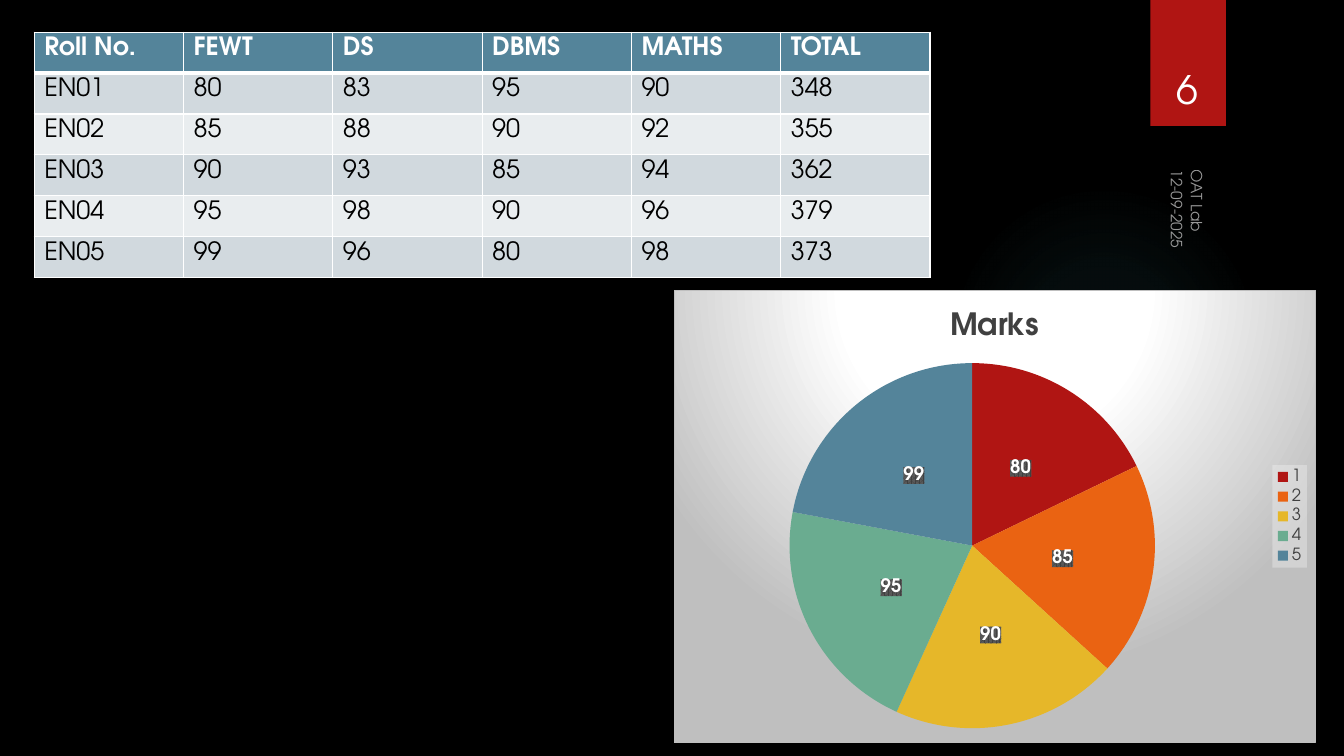
from dataclasses import dataclass

from lxml.etree import SubElement
from pptx import Presentation
from pptx.chart.data import CategoryChartData
from pptx.dml.color import RGBColor
from pptx.enum.chart import XL_CHART_TYPE, XL_LABEL_POSITION, XL_LEGEND_POSITION
from pptx.enum.shapes import MSO_SHAPE
from pptx.enum.text import MSO_ANCHOR, PP_ALIGN
from pptx.oxml import parse_xml
from pptx.oxml.ns import qn
from pptx.util import Pt

NS = ('xmlns:a="http://schemas.openxmlformats.org/drawingml/2006/main" '
      'xmlns:c="http://schemas.openxmlformats.org/drawingml/2006/chart"')

HEADER = ["Roll No.", "FEWT", "DS", "DBMS", "MATHS", "TOTAL"]
MARKS = [
    ["EN01", 80, 83, 95, 90, 348],
    ["EN02", 85, 88, 90, 92, 355],
    ["EN03", 90, 93, 85, 94, 362],
    ["EN04", 95, 98, 90, 96, 379],
    ["EN05", 99, 96, 80, 98, 373],
]


@dataclass(frozen=True)
class Theme:
    font: str = "TeX Gyre Adventor"
    black: str = "000000"
    white: str = "FFFFFF"
    dark: str = "404040"
    grey: str = "BFBFBF"
    glow: str = "50B9C1"
    red: str = "B01513"
    header: str = "54849A"
    bands: tuple = ("D1D9DE", "E9EDEF")
    slices: tuple = ("B01513", "EA6312", "E6B729", "6AAC90", "54849A")
    number_size: float = 28
    title_size: float = 22
    table_size: float = 18
    label_size: float = 13.3
    legend_size: float = 12
    footer_size: float = 11
    chart_size: float = 10


def solid(color, alpha=100):
    return (f'<a:solidFill><a:srgbClr val="{color}"><a:alpha val="{alpha * 1000}"/>'
            f'</a:srgbClr></a:solidFill>')


def radial(stops, top=50, bottom=50):
    """Circular gradient; stops are (position, colour, opacity) in percent."""
    gs = "".join(f'<a:gs pos="{pos * 1000}"><a:srgbClr val="{color}">'
                 f'<a:alpha val="{alpha * 1000}"/></a:srgbClr></a:gs>'
                 for pos, color, alpha in stops)
    return (f'<a:gradFill {NS} rotWithShape="1"><a:gsLst>{gs}</a:gsLst><a:path path="circle">'
            f'<a:fillToRect l="50000" t="{top * 1000}" r="50000" b="{bottom * 1000}"/>'
            f'</a:path></a:gradFill>')


def chart_props(content):
    return parse_xml(f"<c:spPr {NS}>{content}</c:spPr>")


class SlideBuilder:
    def __init__(self, slide, theme):
        self.slide, self.theme = slide, theme
        slide.background.fill.solid()
        slide.background.fill.fore_color.rgb = RGBColor.from_string(theme.black)

    def style(self, font, size, color, bold=False):
        font.name, font.size, font.bold = self.theme.font, Pt(size), bold
        font.color.rgb = RGBColor.from_string(color)

    def shape(self, kind, box, color=None, gradient=None):
        sp = self.slide.shapes.add_shape(kind, *map(Pt, box))
        sp.shadow.inherit = False
        sp.line.fill.background()
        if gradient:
            sp.fill.background()
            fill = sp._element.spPr.find(qn("a:noFill"))
            fill.getparent().replace(fill, parse_xml(gradient))
        else:
            sp.fill.solid()
            sp.fill.fore_color.rgb = RGBColor.from_string(color)

    def text(self, text, box, size, anchor=MSO_ANCHOR.TOP, align=PP_ALIGN.LEFT,
             rotation=0, alpha=100):
        sp = self.slide.shapes.add_textbox(*map(Pt, box))
        sp.rotation = rotation
        tf = sp.text_frame
        tf.word_wrap, tf.vertical_anchor = True, anchor
        p = tf.paragraphs[0]
        p.text, p.alignment = text, align
        r = p.runs[0]
        self.style(r.font, size, self.theme.white)
        if alpha < 100:
            clr = r._r.rPr.find(".//" + qn("a:srgbClr"))
            SubElement(clr, qn("a:alpha")).set("val", str(alpha * 1000))

    def cell(self, cell, text, fill, color, bold, bottom):
        t = self.theme
        cell.text = str(text)
        self.style(cell.text_frame.paragraphs[0].runs[0].font, t.table_size, color, bold)
        tc_pr = cell._tc.get_or_add_tcPr()
        for side, width in (("L", 1), ("R", 1), ("T", 1), ("B", bottom)):
            tc_pr.append(parse_xml(f'<a:ln{side} {NS} w="{Pt(width)}">{solid(t.white)}</a:ln{side}>'))
        cell.fill.solid()
        cell.fill.fore_color.rgb = RGBColor.from_string(fill)

    def table(self, rows, box):
        t = self.theme
        table = self.slide.shapes.add_table(len(rows), len(rows[0]), *map(Pt, box)).table
        table.horz_banding = False
        for i, row in enumerate(rows):
            for j, text in enumerate(row):
                if i == 0:
                    look = (t.header, t.white, True, 3)
                else:
                    look = (t.bands[(i - 1) % 2], t.black, False, 1)
                self.cell(table.cell(i, j), text, *look)

    def pie(self, title, rows, box):
        t = self.theme
        data = CategoryChartData()
        data.categories = [str(n + 1) for n in range(len(rows))]
        for n, column in enumerate(list(zip(*rows))[1:], 1):
            data.add_series(f"Series {n}", column)
        chart = self.slide.shapes.add_chart(XL_CHART_TYPE.PIE, *map(Pt, box), data).chart
        self.style(chart.font, t.chart_size, t.white)

        # Title and legend
        chart.has_title = True
        tf = chart.chart_title.text_frame
        tf.text = title
        self.style(tf.paragraphs[0].runs[0].font, t.title_size, t.dark, True)
        chart.has_legend = True
        legend = chart.legend
        legend.position, legend.include_in_layout = XL_LEGEND_POSITION.RIGHT, False
        self.style(legend.font, t.legend_size, t.dark)
        legend._element.find(qn("c:txPr")).addprevious(chart_props(solid("F2F2F2", 39)))

        # Slices and value labels
        plot = chart.plots[0]
        plot.vary_by_categories = True
        series = plot.series[0]
        for i, color in enumerate(t.slices):
            fill = series.points[i].format.fill
            fill.solid()
            fill.fore_color.rgb = RGBColor.from_string(color)
        labels = series.data_labels
        labels.show_value, labels.position = True, XL_LABEL_POSITION.CENTER
        self.style(labels.font, t.label_size, t.white, True)
        labels._element.find(qn("c:txPr")).addprevious(chart_props(
            f'<a:pattFill prst="pct75"><a:fgClr><a:srgbClr val="{t.dark}"/></a:fgClr>'
            '<a:bgClr><a:srgbClr val="595959"/></a:bgClr></a:pattFill>'))
        # The pie writer keeps one series; this adds the rest in the same style
        chart.replace_data(data)

        # Chart area and pie position
        space = chart._chartSpace
        backdrop = radial([(0, t.white, 100), (39, t.white, 100), (100, t.grey, 100)], -80, 180)
        space.find(qn("c:txPr")).addprevious(chart_props(
            backdrop + f'<a:ln w="{Pt(0.75)}">{solid(t.grey)}</a:ln>'))
        area = space.find(".//" + qn("c:plotArea"))
        for old in area.findall(qn("c:layout")):
            area.remove(old)
        frame = "".join(f'<c:{k} val="{v}"/>' for k, v in (
            ("layoutTarget", "inner"), ("xMode", "edge"), ("yMode", "edge"),
            ("x", 0.18), ("y", 0.16), ("w", 0.57), ("h", 0.81)))
        area.insert(0, parse_xml(
            f"<c:layout {NS}><c:manualLayout>{frame}</c:manualLayout></c:layout>"))


def main():
    prs = Presentation()
    prs.slide_width, prs.slide_height = Pt(960), Pt(540)
    t = Theme()
    s = SlideBuilder(prs.slides.add_slide(prs.slide_layouts[6]), t)

    # Backdrop glow and page tab
    s.shape(MSO_SHAPE.OVAL, (677.5, 131.8, 221.8, 221.8),
            gradient=radial([(0, t.glow, 7), (36, t.glow, 6), (69, t.glow, 0)]))
    s.shape(MSO_SHAPE.RECTANGLE, (821.7, 0, 54, 90), t.red)

    # Date, footer and page number
    s.text("12-09-2025", (800, 141.1, 77.8, 23.8), t.footer_size, rotation=90, alpha=60)
    s.text("OAT Lab", (704.9, 254.2, 303.8, 23.8), t.footer_size,
           anchor=MSO_ANCHOR.BOTTOM, rotation=90, alpha=60)
    s.text("6", (815, 23, 66.2, 60.5), t.number_size,
           anchor=MSO_ANCHOR.BOTTOM, align=PP_ALIGN.CENTER)

    # Marks table and chart
    s.table([HEADER] + MARKS, (24.5, 23, 640, 175.2))
    s.pie("Marks", MARKS, (481.2, 206.8, 458.6, 324))

    prs.save("out.pptx")


if __name__ == "__main__":
    main()
